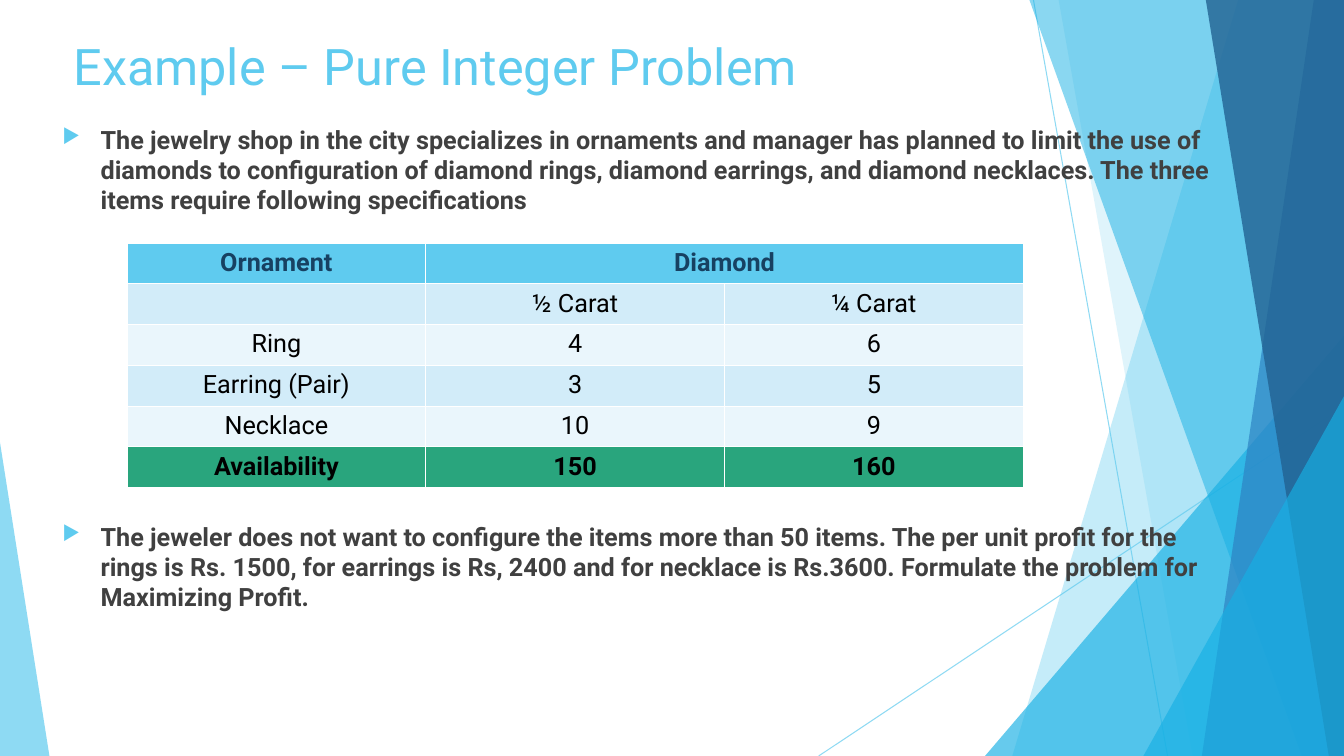
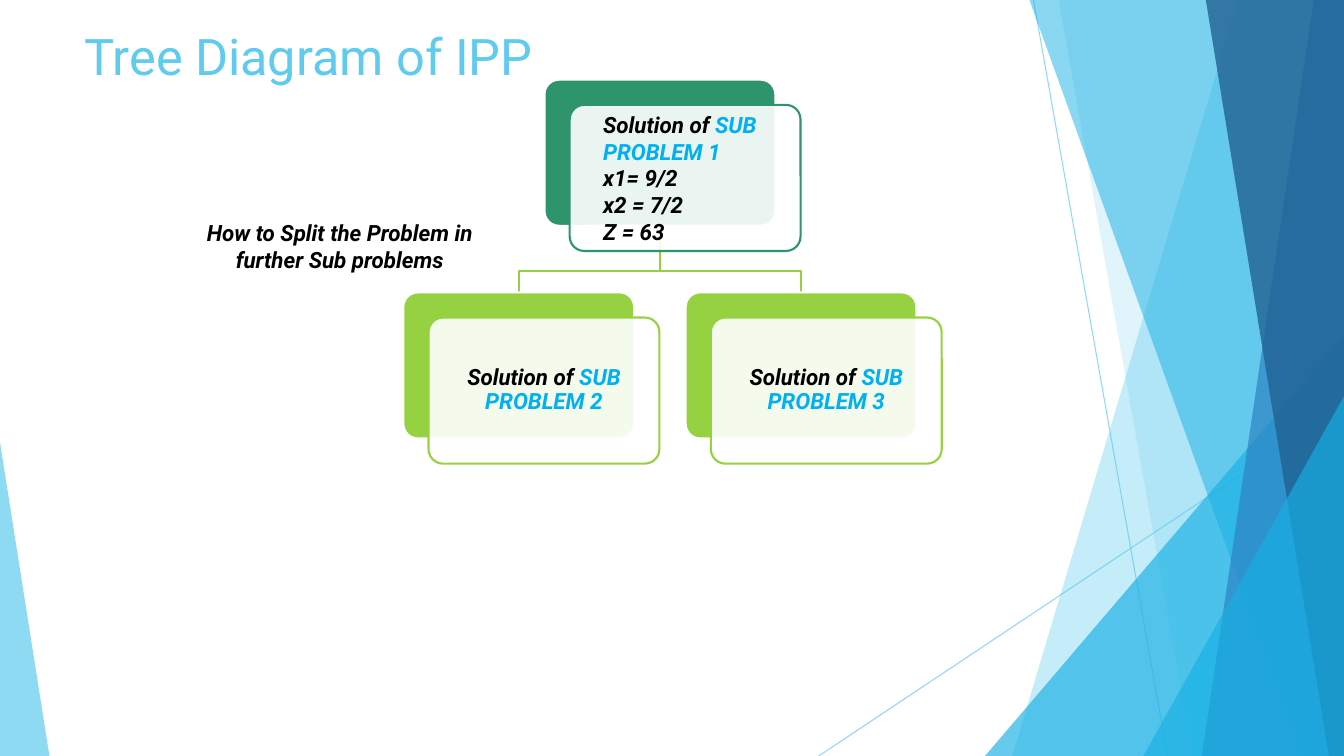
"""Build two slides on integer programming: a worked example and a tree diagram."""
from lxml import etree
from pptx import Presentation
from pptx.dml.color import RGBColor
from pptx.enum.shapes import MSO_CONNECTOR, MSO_SHAPE
from pptx.enum.text import MSO_ANCHOR, PP_ALIGN
from pptx.oxml.ns import qn
from pptx.util import Inches, Pt

LEFT, CENTER = PP_ALIGN.LEFT, PP_ALIGN.CENTER
MIDDLE = MSO_ANCHOR.MIDDLE
STRAIGHT = MSO_CONNECTOR.STRAIGHT
TRIANGLE = MSO_SHAPE.ISOSCELES_TRIANGLE
ROUNDED = MSO_SHAPE.ROUNDED_RECTANGLE

FONT = "Roboto"
WIDTH, HEIGHT = 13.33, 7.5
COLORS = {
    "sky": "5FCBEF", "azure": "17B0E4", "blue": "2E83C3", "navy": "226292",
    "header": "174162", "body": "404040", "black": "000000", "white": "FFFFFF",
    "pale": "D2ECF9", "paler": "EAF6FC", "total": "29A57D",
    "root": "2E946B", "leaf": "96D141", "accent": "00B0F0",
}
RGB = {name: RGBColor.from_string(value) for name, value in COLORS.items()}


def set_opacity(shape, percent):
    """Make every colour set so far on the shape partly transparent."""
    for color in shape._element.spPr.iter(qn("a:srgbClr")):
        etree.SubElement(color, qn("a:alpha"), val=str(percent * 1000))


def write(paragraph, runs, size, bold=False, italic=False, alignment=LEFT):
    """Fill a paragraph with (text, colour name) runs."""
    paragraph.alignment = alignment
    for text, color in runs:
        run = paragraph.add_run()
        run.text = text
        run.font.name = FONT
        run.font.size = Pt(size)
        run.font.bold = bold
        run.font.italic = italic
        run.font.color.rgb = RGB[color]


presentation = Presentation()
presentation.slide_width = Inches(WIDTH)
presentation.slide_height = Inches(HEIGHT)
layout = presentation.slide_layouts[6]
for placeholder in list(layout.placeholders):
    placeholder._element.getparent().remove(placeholder._element)
example_slide = presentation.slides.add_slide(layout)
tree_slide = presentation.slides.add_slide(layout)

backdrop = []
for start_x, start_y, end_x in [(10.25, 0, 11.58), (WIDTH, 4.03, 8.12)]:
    line = example_slide.shapes.add_connector(
        STRAIGHT, Inches(start_x), Inches(start_y), Inches(end_x), Inches(HEIGHT))
    line.line.color.rgb = RGB["sky"]
    line.line.width = Pt(0.75)
    set_opacity(line, 70)
    etree.SubElement(line._element.spPr, qn("a:effectLst"))
    backdrop.append(line)

FACETS = [
    ("band", (12.28, 10.04), "sky", 36),
    ("band", (10.5, 11.83), "sky", 20),
    ("triangle", (9.77, 3.33, 3.56, 1), "azure", 66),
    ("band", (10.21, 12.91), "azure", 50),
    ("band", (13.03, 11.92), "blue", 70),
    ("band", (11.96, 13.18), "navy", 80),
    ("triangle", (11.34, 3.93, 1.99, 1), "azure", 66),
    ("triangle", (0, 4.39, 0.49, 0), "sky", 70),
]
for kind, geometry, color, opacity in FACETS:
    if kind == "band":
        top_x, bottom_x = geometry
        builder = example_slide.shapes.build_freeform(Inches(top_x), 0)
        builder.add_line_segments([
            (Inches(WIDTH), 0), (Inches(WIDTH), Inches(HEIGHT)),
            (Inches(bottom_x), Inches(HEIGHT))])
        facet = builder.convert_to_shape()
    else:
        left, top, width, apex = geometry
        facet = example_slide.shapes.add_shape(
            TRIANGLE, Inches(left), Inches(top), Inches(width), Inches(HEIGHT - top))
        facet.adjustments[0] = apex
    facet.shadow.inherit = False
    facet.fill.solid()
    facet.fill.fore_color.rgb = RGB[color]
    facet.line.fill.background()
    set_opacity(facet, opacity)
    backdrop.append(facet)
for shape in backdrop:
    layout.shapes._spTree.append(shape._element)

TITLES = [
    (example_slide, "Example – Pure Integer Problem", 0.63, 0.27, 0.75),
    (tree_slide, "Tree Diagram of IPP", 0.74, 0.15, 0.8),
]
for slide, text, left, top, height in TITLES:
    title = slide.shapes.add_textbox(Inches(left), Inches(top), Inches(9.4), Inches(height))
    title.text_frame.word_wrap = True
    title.text_frame.vertical_anchor = MIDDLE
    write(title.text_frame.paragraphs[0], [(text, "sky")], 36)

STATEMENTS = [
    (1.18, "The jewelry shop in the city specializes in ornaments and manager has planned "
           "to limit the use of diamonds to configuration of diamond rings, diamond earrings, "
           "and diamond necklaces. The three items require following specifications"),
    (5.12, "The jeweler does not want to configure the items more than 50 items. The per unit "
           "profit for the rings is Rs. 1500, for earrings is Rs, 2400 and for necklace is "
           "Rs.3600. Formulate the problem for Maximizing Profit."),
]
for top, text in STATEMENTS:
    statement = example_slide.shapes.add_textbox(
        Inches(0.52), Inches(top), Inches(11.64), Inches(0.77))
    statement.text_frame.word_wrap = True
    paragraph = statement.text_frame.paragraphs[0]
    properties = paragraph._p.get_or_add_pPr()
    properties.set("marL", str(Inches(0.38)))
    properties.set("indent", str(Inches(-0.38)))
    bullet_color = etree.SubElement(properties, qn("a:buClr"))
    etree.SubElement(bullet_color, qn("a:srgbClr"), val=COLORS["sky"])
    etree.SubElement(properties, qn("a:buSzPct"), val="80000")
    etree.SubElement(properties, qn("a:buChar"), char="▶")
    write(paragraph, [(text, "body")], 18, bold=True)

ROWS = [
    ("Ornament", "Diamond", ""),
    ("", "½ Carat", "¼ Carat"),
    ("Ring", "4", "6"),
    ("Earring (Pair)", "3", "5"),
    ("Necklace", "10", "9"),
    ("Availability", "150", "160"),
]
ROW_FILLS = ["sky", "pale", "paler", "pale", "paler", "total"]
table = example_slide.shapes.add_table(
    len(ROWS), 3, Inches(1.26), Inches(2.41), Inches(8.89), Inches(2.43)).table
table.cell(0, 1).merge(table.cell(0, 2))
for row_index, (row, fill) in enumerate(zip(ROWS, ROW_FILLS)):
    for column_index, text in enumerate(row):
        cell = table.cell(row_index, column_index)
        cell.fill.solid()
        cell.fill.fore_color.rgb = RGB[fill]
        if text:
            write(cell.text_frame.paragraphs[0],
                  [(text, "header" if row_index == 0 else "black")], 18,
                  bold=fill in ("sky", "total"), alignment=CENTER)

CARD_WIDTH, CARD_HEIGHT, OFFSET = 2.29, 1.45, 0.25
ROOT_LEFT, ROOT_TOP, LEAF_TOP = 5.4, 0.79, 2.9
LEAF_LEFTS = [4, 6.8]
root_center = ROOT_LEFT + CARD_WIDTH / 2
for leaf_left in reversed(LEAF_LEFTS):
    leaf_center = leaf_left + CARD_WIDTH / 2
    builder = tree_slide.shapes.build_freeform(
        Inches(root_center), Inches(ROOT_TOP + CARD_HEIGHT))
    builder.add_line_segments([
        (Inches(root_center), Inches(2.69)), (Inches(leaf_center), Inches(2.69)),
        (Inches(leaf_center), Inches(LEAF_TOP))], close=False)
    branch = builder.convert_to_shape()
    branch.shadow.inherit = False
    branch.fill.background()
    branch.line.color.rgb = RGB["leaf"]
    branch.line.width = Pt(1.5)

NODES = [
    (ROOT_LEFT, ROOT_TOP, "root", LEFT, 1, "SUB PROBLEM 1", ["x1= 9/2", "x2 = 7/2", "Z = 63"]),
    (LEAF_LEFTS[0], LEAF_TOP, "leaf", CENTER, 0.9, "SUB PROBLEM 2", []),
    (LEAF_LEFTS[1], LEAF_TOP, "leaf", CENTER, 0.9, "SUB PROBLEM 3", []),
]
for left, top, color, alignment, spacing, name, results in NODES:
    for shift, fill, outline in [(0, color, "white"), (OFFSET, "white", color)]:
        card = tree_slide.shapes.add_shape(
            ROUNDED, Inches(left + shift), Inches(top + shift),
            Inches(CARD_WIDTH), Inches(CARD_HEIGHT))
        card.adjustments[0] = 0.1
        card.shadow.inherit = False
        card.fill.solid()
        card.fill.fore_color.rgb = RGB[fill]
        if shift:
            set_opacity(card, 90)
        card.line.color.rgb = RGB[outline]
        card.line.width = Pt(1.5)
    frame = card.text_frame
    frame.word_wrap = True
    frame.vertical_anchor = MIDDLE
    frame.margin_left = frame.margin_right = Inches(0.29)
    frame.margin_top = frame.margin_bottom = Inches(0.29)
    lines = [[("Solution of ", "black"), (name, "accent")]]
    lines += [[(result, "black")] for result in results]
    for index, runs in enumerate(lines):
        paragraph = frame.add_paragraph() if index else frame.paragraphs[0]
        paragraph.line_spacing = spacing
        write(paragraph, runs, 16, bold=True, italic=True, alignment=alignment)

note = tree_slide.shapes.add_textbox(Inches(1.8), Inches(2.13), Inches(3.14), Inches(0.74))
note.text_frame.word_wrap = True
write(note.text_frame.paragraphs[0],
      [("How to Split the Problem in further Sub problems", "black")], 16,
      bold=True, italic=True, alignment=CENTER)

presentation.save("out.pptx")
